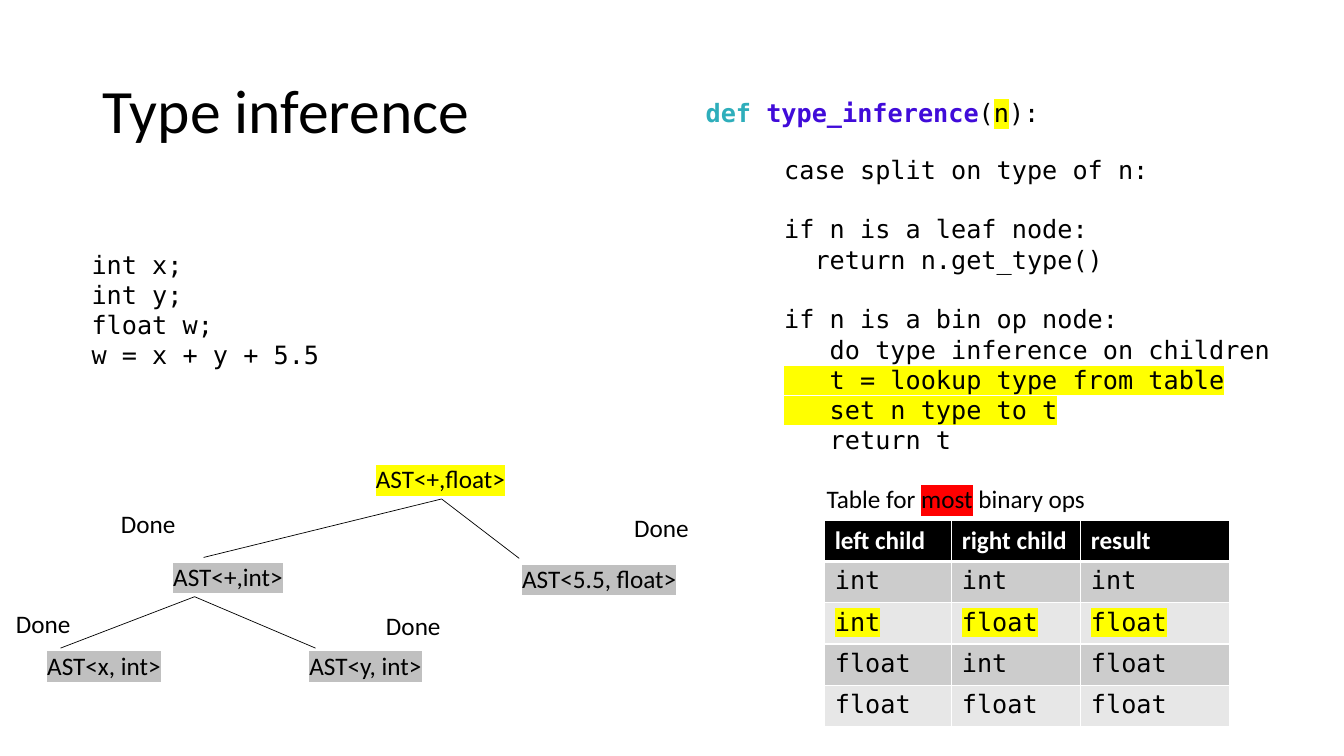
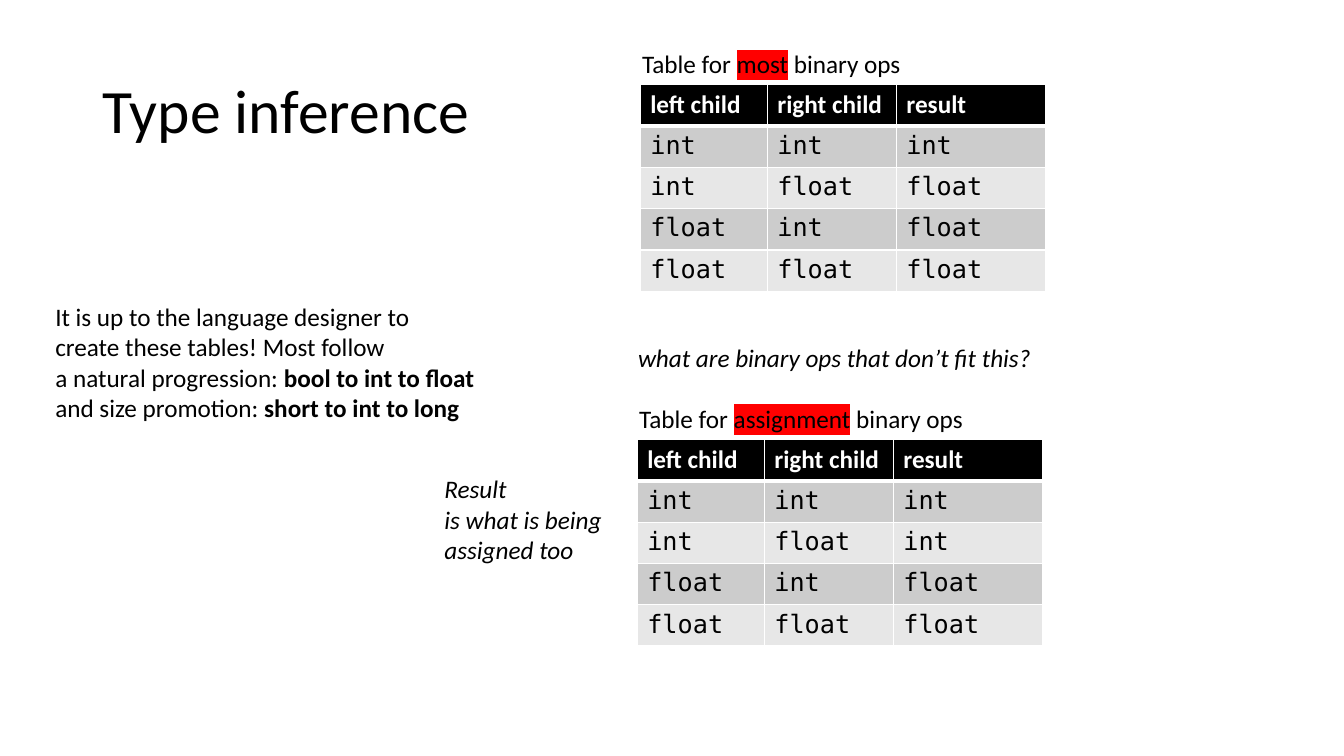
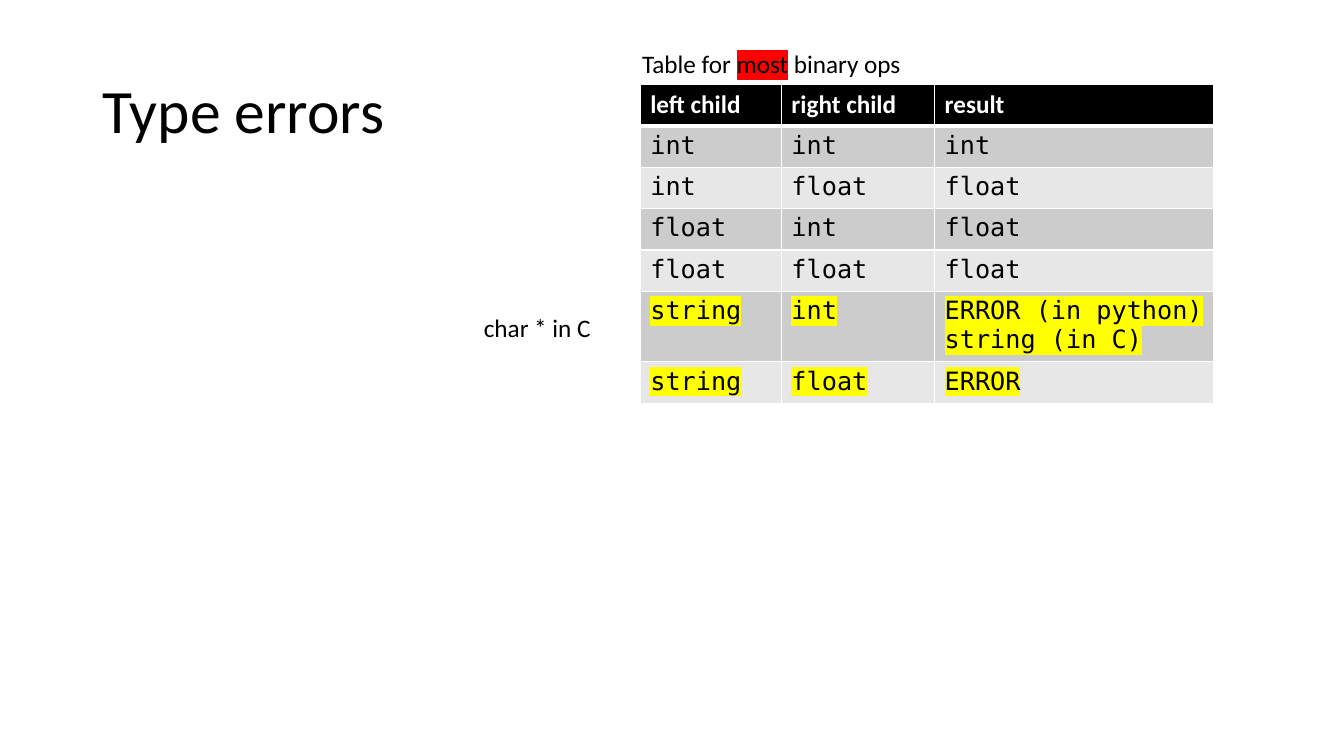
from lxml import etree
from pptx import Presentation
from pptx.dml.color import RGBColor
from pptx.enum.shapes import MSO_CONNECTOR
from pptx.enum.text import MSO_ANCHOR, MSO_AUTO_SIZE
from pptx.oxml.ns import qn
from pptx.util import Inches, Pt

STRAIGHT = MSO_CONNECTOR.STRAIGHT
MIDDLE = MSO_ANCHOR.MIDDLE
GROW = MSO_AUTO_SIZE.SHAPE_TO_FIT_TEXT
BOTTOM = 2

# Shared style
SANS, MONO = "Calibri", "DejaVu Sans Mono"
BLACK, WHITE = "000000", "FFFFFF"
YELLOW, RED, GRAY = "FFFF00", "FF0000", "C0C0C0"
BANDS = ["E7E7E7", "CCCCCC"]
TEAL, VIOLET = "2EAEBB", "400BD9"
SIZE, BIG, GAP = 18, 44, 21
ROW = 0.41

# Type tables
HEAD = ["left child", "right child", "result"]
MOST = [
    ["int", "int", "int"],
    ["int", "float", "float"],
    ["float", "int", "float"],
    ["float", "float", "float"],
]
ASSIGN = [MOST[0], ["int", "float", "int"]] + MOST[2:]
ERRORS = MOST + [
    ["string", "int", "ERROR (in python)\nstring (in C)"],
    ["string", "float", "ERROR"],
]
COLS = [1.26, 1.28, 1.48]
WIDE = [1.4, 1.52, 2.77]


def color(code):
    return RGBColor.from_string(code)


def paint(parent, tag, code):
    node = etree.SubElement(parent, qn(tag))
    etree.SubElement(node, qn("a:srgbClr"), val=code)
    return node


class Deck:
    def __init__(self):
        self.prs = Presentation()
        self.prs.slide_width = Inches(13.33)
        self.prs.slide_height = Inches(7.5)
        self.slide = None

    def start(self, title):
        self.slide = self.prs.slides.add_slide(self.prs.slide_layouts[6])
        box = self.slide.shapes.add_textbox(
            Inches(0.92), Inches(0.4), Inches(11.5), Inches(1.45))
        frame = box.text_frame
        frame.word_wrap = True
        frame.vertical_anchor = MIDDLE
        self.typeset(frame, [title], size=BIG)
        frame.paragraphs[0].line_spacing = 0.9

    def typeset(self, frame, lines, face=SANS, size=SIZE, ink=BLACK,
                bold=False, italic=False, mark=None, gaps=()):
        """A line is a string or a list of (text, run style) pairs."""
        for i, line in enumerate(lines):
            para = frame.add_paragraph() if i else frame.paragraphs[0]
            if i in gaps:
                para.space_before = Pt(GAP)
            font = para.font
            font.name, font.size = face, Pt(size)
            font.bold, font.italic = bold, italic
            font.color.rgb = color(ink)
            runs = [(line, {})] if isinstance(line, str) else line
            for words, style in runs:
                run = para.add_run()
                run.text = words
                if "bold" in style:
                    run.font.bold = style["bold"]
                if "ink" in style:
                    run.font.color.rgb = color(style["ink"])
                tint = style.get("mark", mark)
                if tint:
                    paint(run._r.get_or_add_rPr(), "a:highlight", tint)

    def text(self, x, y, w, lines, h=0.4, **style):
        box = self.slide.shapes.add_textbox(
            Inches(x), Inches(y), Inches(w), Inches(h))
        box.text_frame.word_wrap = False
        box.text_frame.auto_size = GROW
        self.typeset(box.text_frame, lines, **style)
        return box

    def line(self, start, end, box=None):
        link = self.slide.shapes.add_connector(
            STRAIGHT, *(Inches(n) for n in start + end))
        if box is not None:
            link.begin_connect(box, BOTTOM)
        link.line.color.rgb = color(BLACK)
        link.line.width = Pt(0.5)
        etree.SubElement(link._element.spPr, qn("a:effectLst"))

    def edge(self, cell, side, width):
        props = cell._tc.get_or_add_tcPr()
        rule = etree.SubElement(props, qn("a:ln" + side), w=str(Pt(width)))
        paint(rule, "a:solidFill", WHITE)

    def table(self, x, y, kind, rows, cols=COLS, span=2.79, marks=()):
        # Caption
        parts = [("Table for ", {}), (kind, {"mark": RED}),
                 (" binary ops", {})]
        self.text(x - 0.08, y - 0.41, span, [parts])
        # Grid
        cells = [HEAD] + rows
        grid = self.slide.shapes.add_table(
            len(cells), len(cols), Inches(x), Inches(y),
            Inches(sum(cols)), Inches(ROW * len(cells))).table
        grid.horz_banding = False
        for col, width in zip(grid.columns, cols):
            col.width = Inches(width)
        for r, row in enumerate(cells):
            for c, words in enumerate(row):
                cell = grid.cell(r, c)
                self.edge(cell, "L", 1)
                self.edge(cell, "R", 1)
                self.edge(cell, "T", 3 if r == 1 else 1)
                self.edge(cell, "B", 1 if r else 3)
                cell.fill.solid()
                cell.fill.fore_color.rgb = color(BANDS[r % 2] if r else BLACK)
                self.typeset(cell.text_frame, words.split("\n"),
                             face=MONO if r else SANS,
                             ink=BLACK if r else WHITE, bold=not r,
                             mark=YELLOW if r in marks else None)


def infer(deck):
    deck.start("Type inference")
    # Syntax tree
    root = deck.text(3.63, 4.55, 1.5, ["AST<+,float>"], mark=YELLOW)
    for x, y, w, label in [
        (1.62, 5.52, 1.3, "AST<+,int>"),
        (5.08, 5.54, 1.75, "AST<5.5, float>"),
        (0.37, 6.4, 1.34, "AST<x, int>"),
        (2.97, 6.4, 1.33, "AST<y, int>"),
    ]:
        deck.text(x, y, w, [label], mark=GRAY)
    for end in [(2.02, 5.53), (5.15, 5.54)]:
        deck.line((4.38, 4.95), end, root)
    for end in [(0.6, 6.43), (3.13, 6.43)]:
        deck.line((1.93, 5.92), end)
    for x, y in [(0.06, 5.99), (3.73, 6.01), (1.1, 4.99), (6.19, 5.03)]:
        deck.text(x, y, 0.75, ["Done"])
    # Code
    deck.text(0.81, 2.42, 2.46,
              ["int x;", "int y;", "float w;", "w = x + y + 5.5"],
              h=1.31, face=MONO)
    deck.text(6.9, 0.92, 3.56, [[
        ("def ", {"ink": TEAL, "bold": True}),
        ("type_inference", {"ink": VIOLET, "bold": True}),
        ("(", {}), ("n", {"mark": YELLOW}), ("):", {}),
    ]], face=MONO)
    deck.text(7.68, 1.48, 5.03, [
        "case split on type of n:",
        "if n is a leaf node:",
        "  return n.get_type()",
        "if n is a bin op node:",
        "   do type inference on children",
        [("   t = lookup type from table", {"mark": YELLOW})],
        [("   set n type to t", {"mark": YELLOW})],
        "   return t",
    ], h=3.13, face=MONO, gaps=(1, 3))
    deck.table(8.18, 5.16, "most", MOST, marks=(2,))


def design(deck):
    deck.start("Type inference")
    deck.table(6.35, 0.84, "most", MOST)
    deck.table(6.32, 4.36, "assignment", ASSIGN, span=3.45)
    # Remarks
    deck.text(6.23, 3.35, 4.14, ["what are binary ops that don’t fit this?"],
              italic=True)
    deck.text(4.31, 4.65, 1.77,
              ["Result", "is what is being", "assigned too"],
              h=1.01, italic=True)
    deck.text(0.45, 2.94, 4.49, [
        "It is up to the language designer to",
        "create these tables! Most follow",
        [("a natural progression: ", {}),
         ("bool to int to float", {"bold": True})],
        [("and size promotion: ", {}),
         ("short to int to long", {"bold": True})],
    ], h=1.31)


def errors(deck):
    deck.start("Type errors")
    deck.table(6.35, 0.84, "most", ERRORS, cols=WIDE, marks=(5, 6))
    deck.text(4.7, 3.05, 1.28, ["char * in C"])


def main():
    deck = Deck()
    for build in (infer, design, errors):
        build(deck)
    deck.prs.save("out.pptx")


if __name__ == "__main__":
    main()
